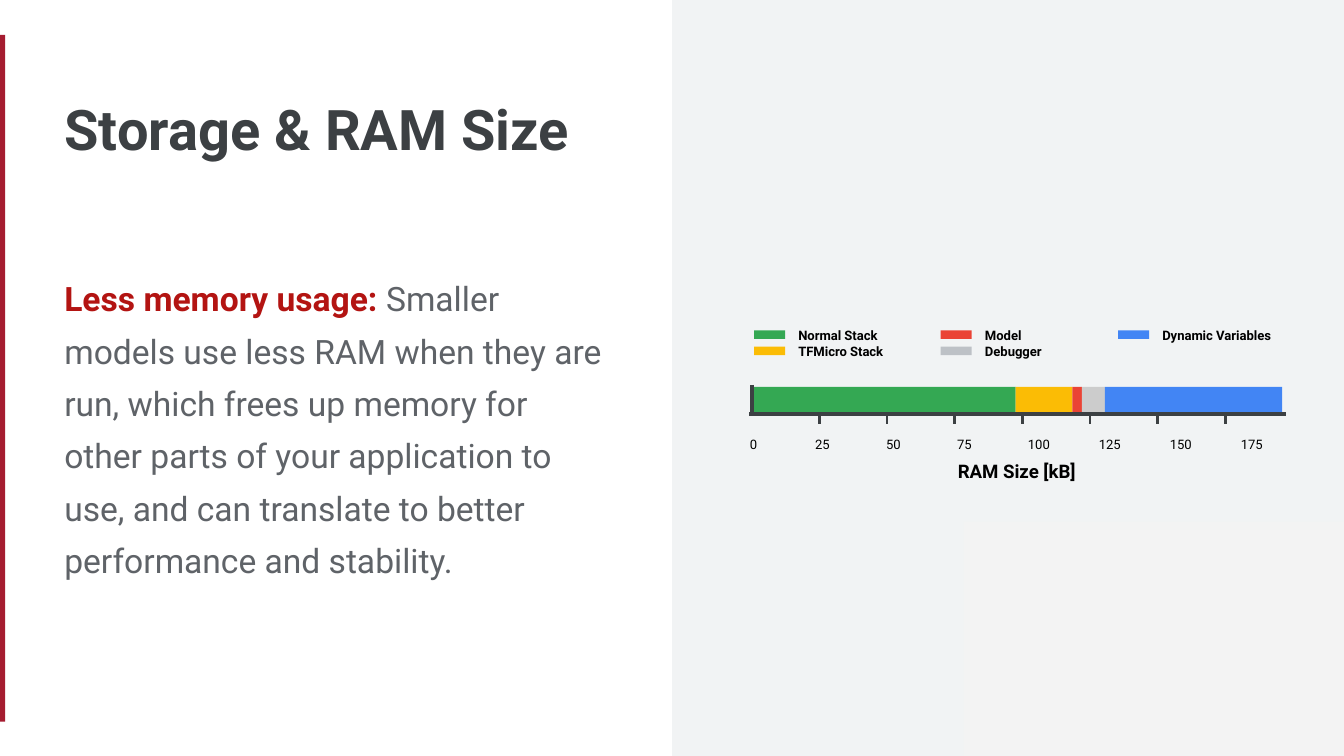
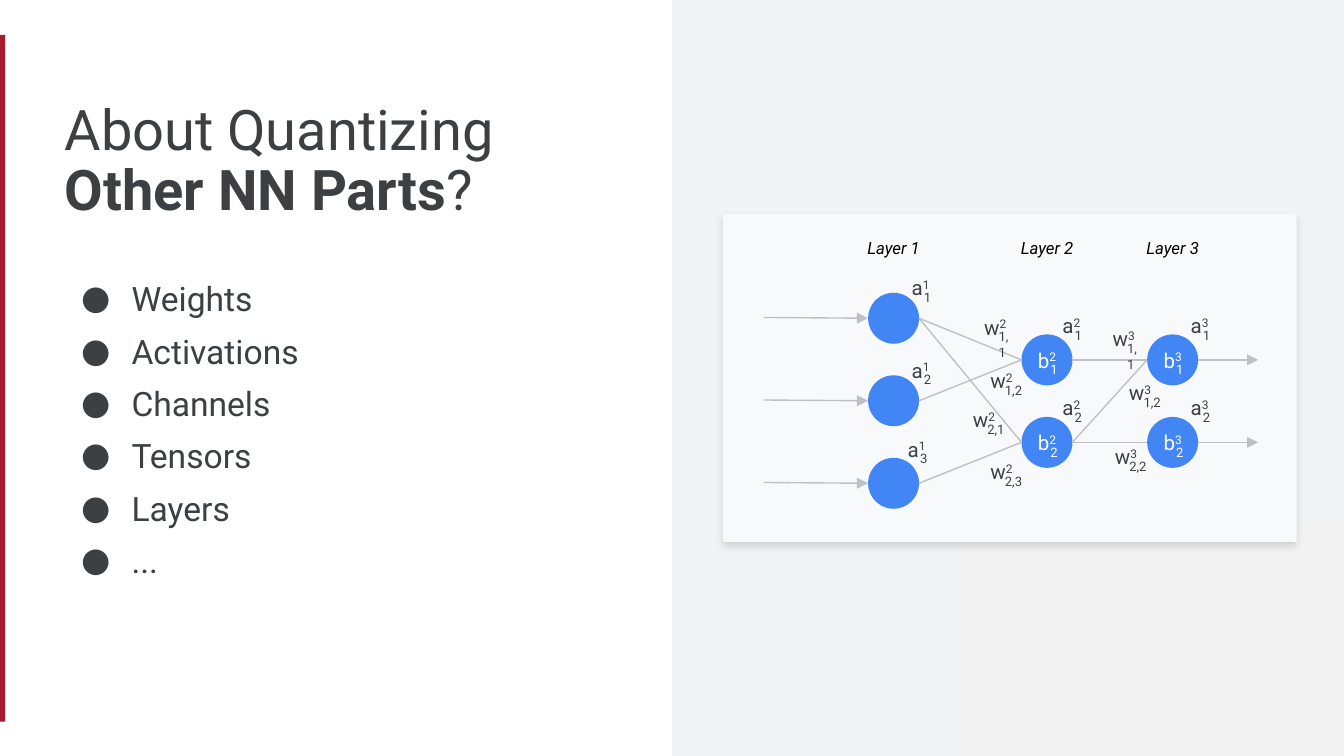
from pptx import Presentation
from pptx.dml.color import RGBColor
from pptx.enum import shapes, text
from pptx.oxml import parse_xml
from pptx.oxml.ns import nsdecls, qn
from pptx.util import Pt

FONT = "Roboto"
INK, GREY, RED, BLACK, WHITE = "3C4043", "5F6368", "B31412", "000000", "FFFFFF"
BLUE, WIRE = "4285F4", "BDC1C6"
LEFT, CENTER = text.PP_ALIGN.LEFT, text.PP_ALIGN.CENTER
TOP, MIDDLE = text.MSO_ANCHOR.TOP, text.MSO_ANCHOR.MIDDLE
RECT, OVAL = shapes.MSO_SHAPE.RECTANGLE, shapes.MSO_SHAPE.OVAL

# name, size in kB, bar colour, legend colour, legend column, legend row
MEMORY = [
    ("Normal Stack", 97.5, "34A853", "34A853", 0, 0),
    ("TFMicro Stack", 21, "FBBC05", "FBBC05", 0, 1),
    ("Model", 3.5, "EA4335", "EA4335", 1, 0),
    ("Debugger", 8.5, "CCCCCC", "BDC1C6", 1, 1),
    ("Dynamic Variables", 65.5, BLUE, BLUE, 2, 0),
]
LEGEND_COLUMNS = [404, 504, 599]
AXIS_LEFT, AXIS_TOP, TICK_STEP, TICK_KB = 402.7, 222, 36.25, 25

NODE = 27.3
ROW_STEP = 44.2
LAYER_X = [478.7, 560.9, 628.2]
LAYER_TOP = [170.5, 192.8, 192.8]
LAYER_SIZES = [3, 2, 2]
# source and target as (layer, row)
EDGES = [
    ((0, 0), (1, 0)), ((0, 0), (1, 1)), ((0, 1), (1, 0)), ((0, 2), (1, 1)),
    ((1, 0), (2, 0)), ((1, 1), (2, 0)), ((1, 1), (2, 1)),
]
# left, top, layer, subscript
ACTIVATIONS = [
    (479.5, 140.4, "1", "1"), (479.5, 184.5, "1", "2"), (477.4, 226.8, "1", "3"),
    (560.2, 160.8, "2", "1"), (560.2, 204.7, "2", "2"),
    (629, 160.8, "3", "1"), (629, 204.7, "3", "2"),
]
WEIGHTS = [
    (519.5, 161.5, "2", "1,1"), (513.4, 211.2, "2", "2,1"),
    (522.9, 239, "2", "2,3"), (522.9, 190.2, "2", "1,2"),
    (588.4, 167.6, "3", "1,1"), (597.1, 196.4, "3", "1,2"),
    (589.5, 231, "3", "2,2"),
]


def rgb(value):
    return RGBColor.from_string(value)


def drawing(xml):
    """Parse one DrawingML element, given without its namespace."""
    return parse_xml(f"<a:wrap {nsdecls('a')}>{xml}</a:wrap>")[0]


def add_block(slide, left, top, width, height, color, kind=RECT):
    block = slide.shapes.add_shape(kind, Pt(left), Pt(top), Pt(width), Pt(height))
    block.shadow.inherit = False
    block.fill.solid()
    block.fill.fore_color.rgb = rgb(color)
    block.line.fill.background()
    return block


def add_line(slide, start, end, color, weight, arrow=False):
    line = slide.shapes.add_connector(
        shapes.MSO_CONNECTOR.STRAIGHT, *(Pt(value) for value in (*start, *end)))
    line.line.color.rgb = rgb(color)
    line.line.width = Pt(weight)
    properties = line.element.spPr
    if arrow:
        properties.find(qn("a:ln")).append(drawing('<a:tailEnd type="triangle"/>'))
    properties.append(drawing("<a:effectLst/>"))


def add_span(para, words, size, color, bold=False, italic=False):
    span = para.add_run()
    span.text = words
    span.font.name = FONT
    span.font.size = Pt(size)
    span.font.color.rgb = rgb(color)
    span.font.bold = bold
    span.font.italic = italic
    return span


def set_frame(box, anchor):
    frame = box.text_frame
    frame.word_wrap = True
    frame.auto_size = text.MSO_AUTO_SIZE.NONE
    frame.vertical_anchor = anchor
    frame.margin_left = frame.margin_right = Pt(7.2)
    frame.margin_top = frame.margin_bottom = Pt(7.2)
    return frame


def add_box(slide, left, top, width, height, anchor=TOP, align=LEFT):
    """Add an empty text box and return its frame."""
    box = slide.shapes.add_textbox(Pt(left), Pt(top), Pt(width), Pt(height))
    frame = set_frame(box, anchor)
    frame.paragraphs[0].alignment = align
    return frame


def add_label(slide, words, left, top, width, height, size, align=LEFT, **style):
    frame = add_box(slide, left, top, width, height, MIDDLE, align)
    add_span(frame.paragraphs[0], words, size, BLACK, **style)


def add_symbol(slide, letter, upper, lower, left, top, color=INK):
    """Add a letter with a superscript, and a subscript below it."""
    para = add_box(slide, left, top, NODE, NODE, MIDDLE, CENTER).paragraphs[0]
    add_span(para, letter, 11, color)
    raised = add_span(para, upper, 11, color)
    raised._r.get_or_add_rPr().set("baseline", "30000")
    width = {"1": 19.4, "2": 19.4, "3": 19.4, "1,1": 21.6}.get(lower, 25.2)
    frame = add_box(slide, left + 8.4, top + 7.5, width, 20.2)
    add_span(frame.paragraphs[0], lower, 7, color)


def style_layout(layout, slide):
    """Give the layout its background and panels, drawn by way of a slide."""
    layout.background.fill.solid()
    layout.background.fill.fore_color.rgb = rgb("F1F3F4")
    for footer in list(layout.placeholders)[1:]:
        layout.shapes.element.remove(footer.element)
    panels = [
        (-1.5, 0, 361.5, 405, WHITE),
        (-1.5, 18.7, 4.3, 368, "A51C30"),
        (516.2, 279.4, 203.8, 125.6, "F3F3F3"),
    ]
    for position, panel in enumerate(panels, start=2):
        layout.shapes.element.insert(position, add_block(slide, *panel).element)


def set_title(slide, spans):
    """Place the title; spans are (words, bold) pairs."""
    title = slide.shapes.title
    title.left, title.top, title.width, title.height = Pt(27.4), Pt(47.5), Pt(304.6), Pt(76.3)
    para = set_frame(title, TOP).paragraphs[0]
    para.alignment = LEFT
    para.line_spacing = 0.9
    for words, bold in spans:
        add_span(para, words, 30, INK, bold)


def add_body(slide):
    return add_box(slide, 27.4, 135.4, 304.6, 161.3)


def add_bullets(frame, items):
    for index, item in enumerate(items):
        para = frame.add_paragraph() if index else frame.paragraphs[0]
        properties = para._p.get_or_add_pPr()
        properties.set("marL", str(Pt(36)))
        properties.set("indent", str(Pt(-27)))
        properties.append(drawing(f'<a:buClr><a:srgbClr val="{INK}"/></a:buClr>'))
        properties.append(drawing(f'<a:buFont typeface="{FONT}"/>'))
        properties.append(drawing('<a:buChar char="●"/>'))
        para.line_spacing = 1.3
        add_span(para, item, 18, INK)


def draw_memory_bar(slide):
    left = AXIS_LEFT
    for _, size, color, *_ in MEMORY:
        width = size * TICK_STEP / TICK_KB
        add_block(slide, left, 207.3, width, 14.9, color)
        left += width
    add_line(slide, (AXIS_LEFT, 206.2), (AXIS_LEFT, AXIS_TOP), INK, 2.25)
    add_line(slide, (AXIS_LEFT - 1.2, AXIS_TOP), (689, AXIS_TOP), INK, 2.25)
    for step in range(1, 8):
        tick = AXIS_LEFT + step * TICK_STEP
        add_line(slide, (tick, AXIS_TOP), (tick, AXIS_TOP + 5), INK, 1.5)

    para = add_box(slide, 394.6, 226.8, 298, 15.1).paragraphs[0]
    stops = "".join(f'<a:tab pos="{Pt(38 * step - 3)}" algn="l"/>' for step in range(1, 8))
    para._p.get_or_add_pPr().append(drawing(f"<a:tabLst>{stops}</a:tabLst>"))
    add_span(para, "\t".join(str(step * TICK_KB) for step in range(8)), 7, BLACK)
    add_label(slide, "RAM Size [kB]", 498.2, 244.8, 92.9, 15.1, 10, CENTER, bold=True)


def draw_legend(slide):
    for name, _, _, color, column, row in MEMORY:
        left, drop = LEGEND_COLUMNS[column], 8.7 * row
        add_block(slide, left, 177 + drop, 16.6, 4.6, color)
        add_label(slide, name, left + 16.6, 172 + drop, 77, 15.1, 7, bold=True)


def add_card(slide):
    card = add_block(slide, 387.4, 114.5, 307.2, 175.9, "F8F9FA")
    card.element.spPr.find(qn("a:effectLst")).append(drawing(
        f'<a:outerShdw blurRad="{Pt(4.5)}" dist="{Pt(1.5)}" dir="5400000" algn="t" '
        'rotWithShape="0"><a:srgbClr val="000000"><a:alpha val="15000"/>'
        "</a:srgbClr></a:outerShdw>"))


def node_center(layer, row):
    return LAYER_X[layer], LAYER_TOP[layer] + row * ROW_STEP


def draw_network(slide):
    radius = NODE / 2
    nodes = [(layer, row) for layer, size in enumerate(LAYER_SIZES) for row in range(size)]
    for node in nodes:
        x, y = node_center(*node)
        add_block(slide, x - radius, y - radius, NODE, NODE, BLUE, OVAL)
    for source, target in EDGES:
        (x1, y1), (x2, y2) = node_center(*source), node_center(*target)
        add_line(slide, (x1 + radius, y1), (x2 - radius, y2), WIRE, 0.75)
    for layer, row in nodes:
        x, y = node_center(layer, row)
        if layer == 0:
            add_line(slide, (409.2, y - 0.4), (x - radius, y), WIRE, 0.75, arrow=True)
        else:
            add_symbol(slide, "b", str(layer + 1), str(row + 1), x - radius, y - radius, WHITE)
        if layer == 2:
            add_line(slide, (x + radius, y), (674, y), WIRE, 0.75, arrow=True)
    for number, x in enumerate(LAYER_X, start=1):
        add_label(slide, f"Layer {number}", x - 22.3, 124.6, 44.6, 15.8, 9, CENTER, italic=True)
    for letter, places in (("a", ACTIVATIONS), ("w", WEIGHTS)):
        for left, top, upper, lower in places:
            add_symbol(slide, letter, upper, lower, left, top)


def build_memory_slide(slide):
    set_title(slide, [("Storage & RAM Size", True)])
    para = add_body(slide).paragraphs[0]
    para.line_spacing = 1.3
    add_span(para, "Less memory usage: ", 18, RED, bold=True)
    add_span(para, "Smaller models use less RAM when they are run, which frees up memory "
             "for other parts of your application to use, and can translate to better "
             "performance and stability.", 18, GREY)
    draw_memory_bar(slide)
    draw_legend(slide)


def build_network_slide(slide):
    set_title(slide, [("About Quantizing ", False), ("Other NN Parts", True), ("?", False)])
    add_bullets(add_body(slide),
                ["Weights", "Activations", "Channels", "Tensors", "Layers", "..."])
    add_card(slide)
    draw_network(slide)


def main():
    deck = Presentation()
    deck.slide_width, deck.slide_height = Pt(720), Pt(405)
    layout = deck.slide_layouts.get_by_name("Title Only")
    memory, network = (deck.slides.add_slide(layout) for _ in range(2))
    style_layout(layout, memory)
    build_memory_slide(memory)
    build_network_slide(network)
    deck.save("out.pptx")


if __name__ == "__main__":
    main()
